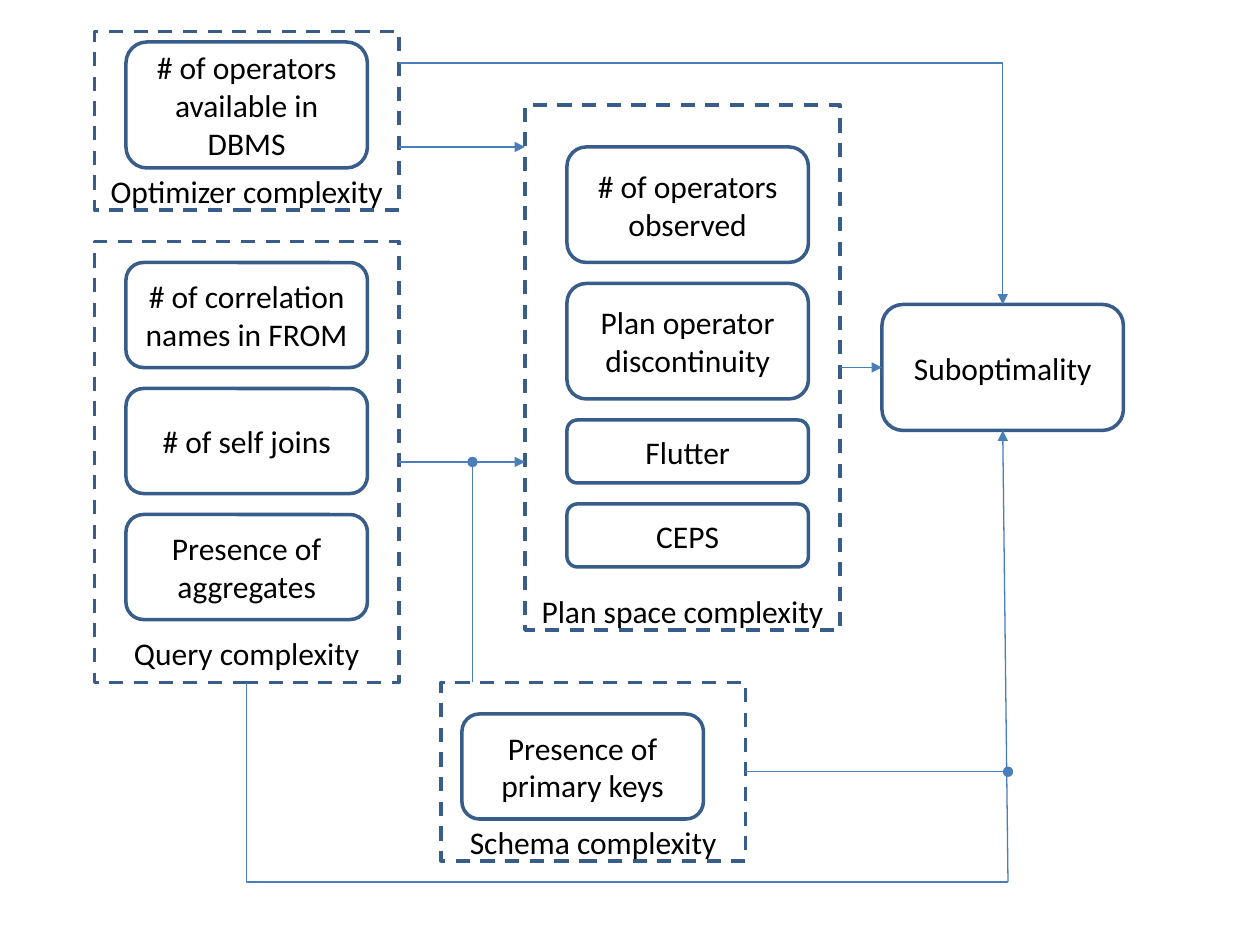
from lxml import etree
from pptx import Presentation
from pptx.dml.color import RGBColor
from pptx.enum.dml import MSO_LINE
from pptx.enum.shapes import MSO_CONNECTOR, MSO_SHAPE
from pptx.enum.text import MSO_ANCHOR, PP_ALIGN
from pptx.oxml.ns import qn
from pptx.util import Pt

RECTANGLE = MSO_SHAPE.RECTANGLE
ROUNDED = MSO_SHAPE.ROUNDED_RECTANGLE
STRAIGHT = MSO_CONNECTOR.STRAIGHT
ELBOW = MSO_CONNECTOR.ELBOW
DASH = MSO_LINE.DASH
MIDDLE = MSO_ANCHOR.MIDDLE
BOTTOM = MSO_ANCHOR.BOTTOM
CENTER = PP_ALIGN.CENTER

FONT = "Calibri"
TEXT_COLOR = "000000"
OUTLINE_COLOR = "385D8A"
ARROW_COLOR = "4A7EBB"
FACTOR_WIDTH = 138
FACTOR_GAP = 12


def color(hex_string):
    return RGBColor.from_string(hex_string)


def add_outlined_shape(slide, kind, left, top, width, height, text, anchor):
    shape = slide.shapes.add_shape(kind, Pt(left), Pt(top), Pt(width), Pt(height))
    shape.shadow.inherit = False
    shape.fill.background()
    shape.line.color.rgb = color(OUTLINE_COLOR)
    shape.line.width = Pt(2)
    frame = shape.text_frame
    frame.word_wrap = True
    frame.vertical_anchor = anchor
    frame.text = text
    for paragraph in frame.paragraphs:
        paragraph.alignment = CENTER
        for run in paragraph.runs:
            run.font.name = FONT
            run.font.size = Pt(18)
            run.font.color.rgb = color(TEXT_COLOR)
    return shape


def add_group(slide, left, top, width, height, label, label_inset=0):
    """Dashed frame with its label at the bottom edge."""
    frame = add_outlined_shape(slide, RECTANGLE, left, top, width, height, label, BOTTOM)
    frame.line.dash_style = DASH
    frame.text_frame.margin_bottom = Pt(label_inset)


def add_factors(slide, left, top, factors):
    """Stack rounded boxes, given as (text, height), with equal gaps."""
    for text, height in factors:
        add_outlined_shape(slide, ROUNDED, left, top, FACTOR_WIDTH, height, text, MIDDLE)
        top += height + FACTOR_GAP


def add_line(slide, start, end, head=None, kind=STRAIGHT):
    points = [Pt(value) for value in (*start, *end)]
    connector = slide.shapes.add_connector(kind, *points)
    connector.line.color.rgb = color(ARROW_COLOR)
    connector.line.width = Pt(0.75)
    properties = connector._element.spPr
    if head:
        outline = properties.find(qn("a:ln"))
        etree.SubElement(outline, qn("a:tailEnd"), type=head)
    etree.SubElement(properties, qn("a:effectLst"))
    return connector


def add_corner(slide, start, end, head=None):
    """Connector with one bend: horizontal first, then vertical."""
    connector = add_line(slide, start, end, head, ELBOW)
    connector._element.spPr.find(qn("a:prstGeom")).set("prst", "bentConnector2")


def main():
    presentation = Presentation()
    presentation.slide_width = Pt(720)
    presentation.slide_height = Pt(540)
    slide = presentation.slides.add_slide(presentation.slide_layouts[6])

    add_group(slide, 54, 18, 174, 102, "Optimizer complexity")
    add_group(slide, 54, 138, 174, 252, "Query complexity", label_inset=6)
    add_group(slide, 252, 390, 174, 102, "Schema complexity")
    add_group(slide, 300, 60, 180, 300, "Plan space complexity")

    add_factors(slide, 72, 24, [("# of operators available in DBMS", 72)])
    add_factors(slide, 72, 150, [
        ("# of correlation names in FROM", 60),
        ("# of self joins", 60),
        ("Presence of aggregates", 60),
    ])
    add_factors(slide, 264, 408, [("Presence of primary keys", 60)])
    add_factors(slide, 324, 84, [
        ("# of operators observed", 66),
        ("Plan operator\ndiscontinuity", 66),
        ("Flutter", 36),
        ("CEPS", 36),
    ])
    add_factors(slide, 504, 174, [("Suboptimality", 72)])

    suboptimality_center = 504 + FACTOR_WIDTH / 2
    add_line(slide, (228, 264), (300, 264), "triangle")
    add_line(slide, (228, 84), (300, 84), "triangle")
    add_line(slide, (270, 390), (270, 264), "oval")
    add_line(slide, (480, 210), (504, 210), "triangle")
    add_line(slide, (576, 504), (suboptimality_center, 246), "triangle")
    add_line(slide, (426, 441), (576, 441), "oval")
    add_corner(slide, (228, 36), (suboptimality_center, 174), "triangle")
    add_corner(slide, (576, 504), (141, 390))

    presentation.save("out.pptx")


if __name__ == "__main__":
    main()
